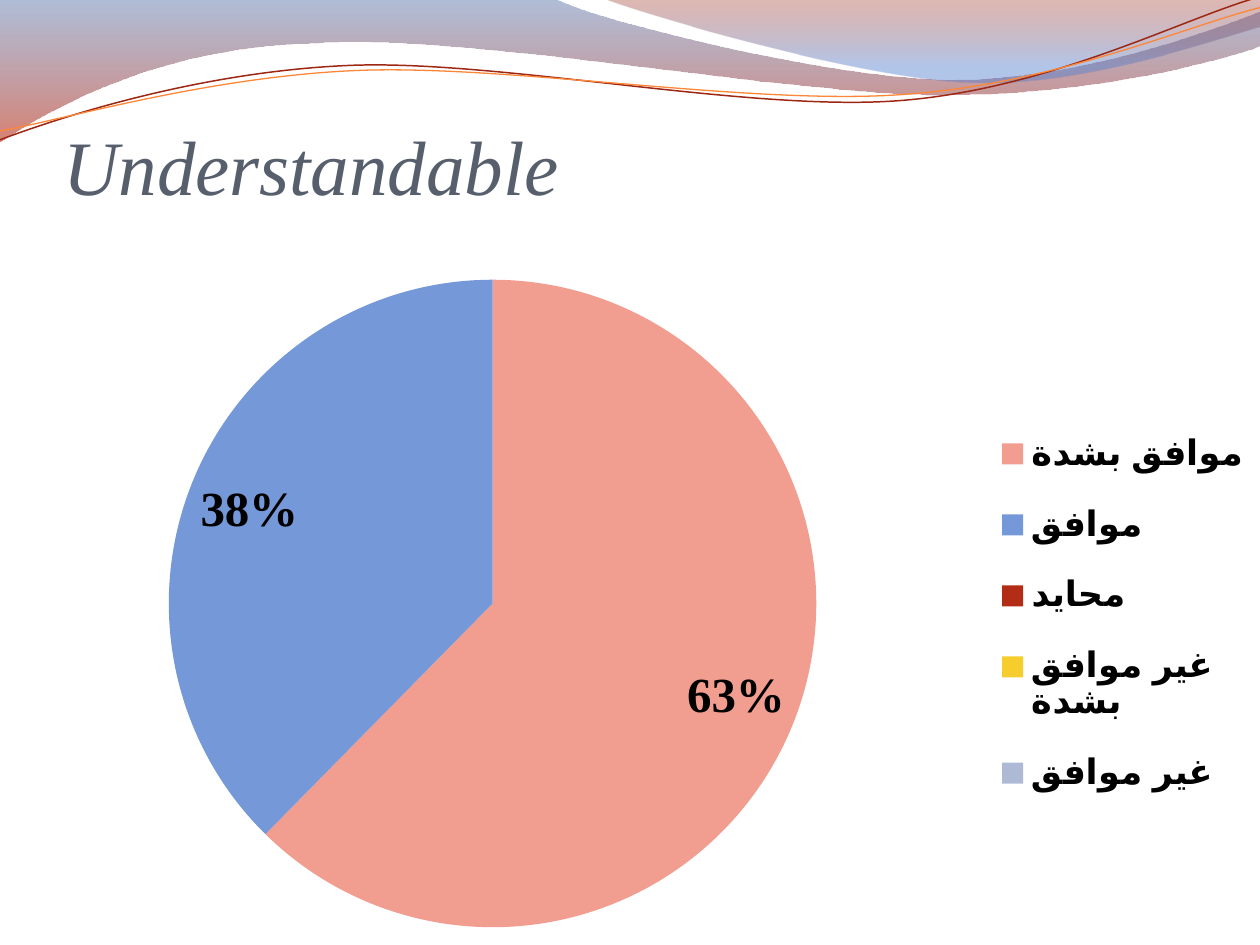
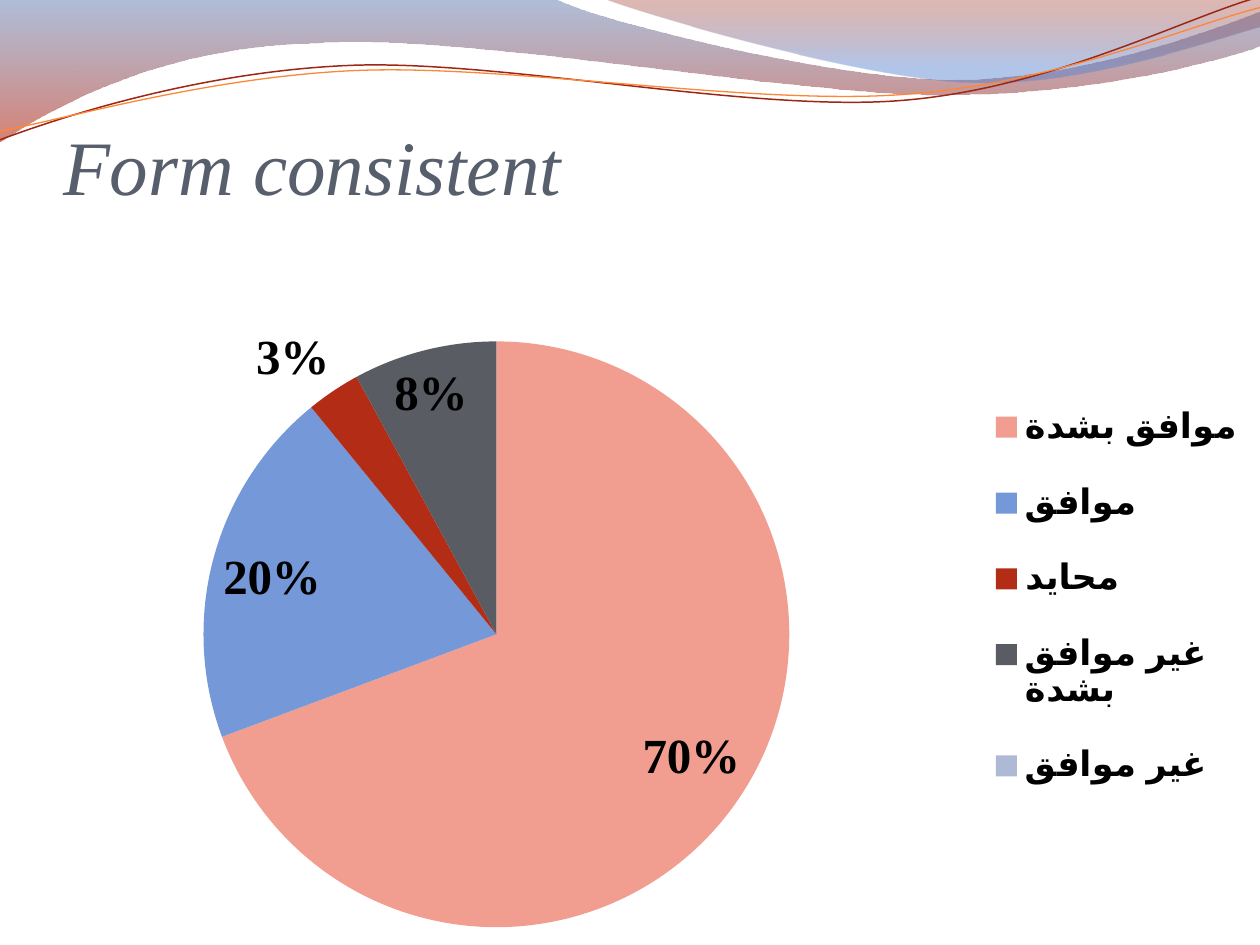
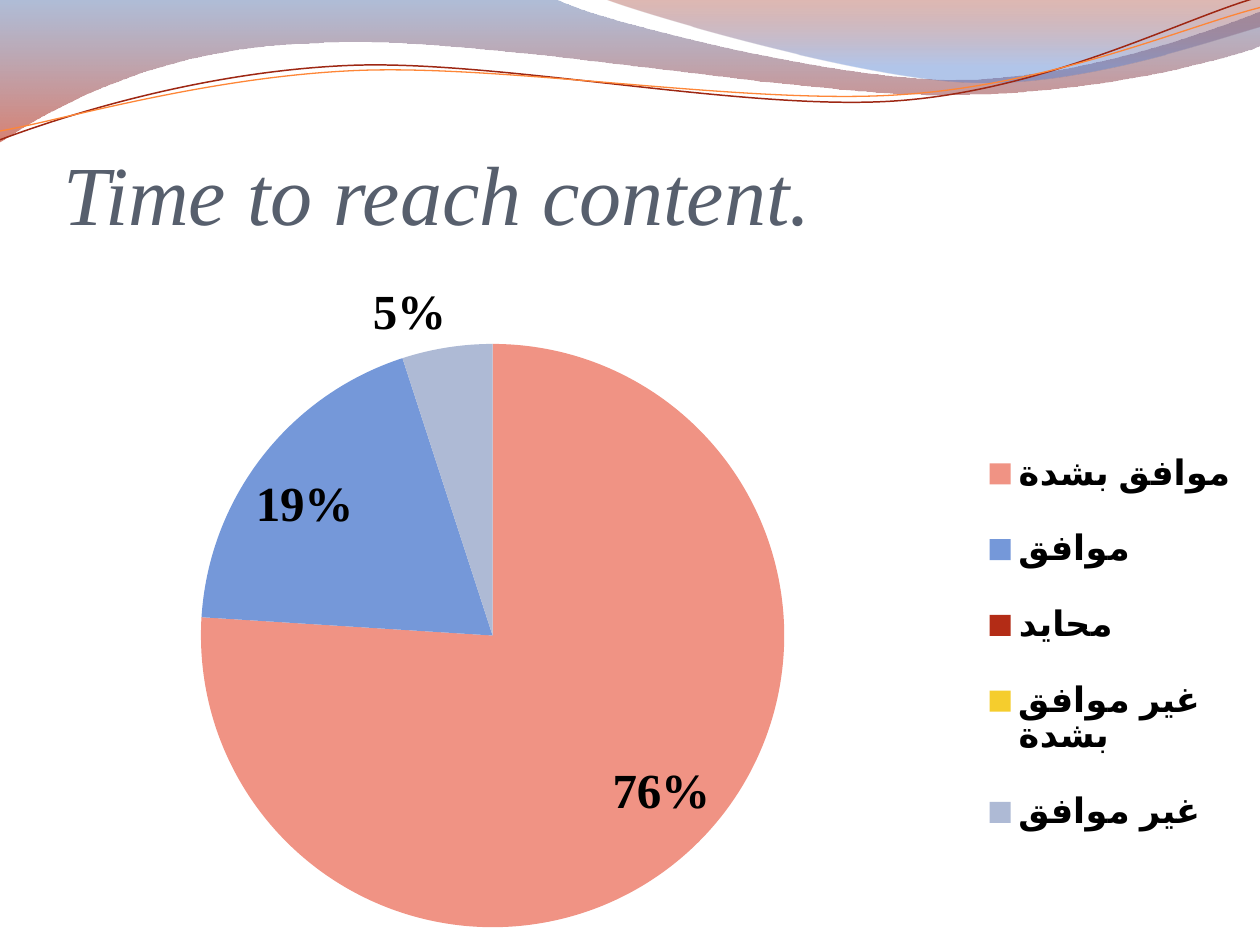
from dataclasses import dataclass

from lxml.etree import SubElement
from pptx import Presentation
from pptx.chart.data import CategoryChartData
from pptx.dml.color import RGBColor
from pptx.enum.chart import XL_CHART_TYPE, XL_LABEL_POSITION, XL_LEGEND_POSITION
from pptx.enum.text import MSO_ANCHOR, MSO_AUTO_SIZE, PP_ALIGN
from pptx.oxml.ns import qn
from pptx.oxml.xmlchemy import OxmlElement
from pptx.util import Inches, Pt


@dataclass(frozen=True)
class Theme:
    """Colours, fonts and type sizes of the deck."""

    title_color: str = "575F6D"
    text_color: str = "000000"
    salmon: str = "F19E91"
    coral: str = "F09384"
    blue: str = "7598D9"
    red: str = "B32C16"
    yellow: str = "F5CD2D"
    slate: str = "595D63"
    lavender: str = "AEBAD5"
    serif: str = "Times New Roman"
    chart_font: str = "Vollkorn"
    title_size: int = 44
    large_title_size: int = 48
    chart_size: int = 18
    legend_size: int = 20
    label_size: int = 28


THEME = Theme()
SLIDE_WIDTH = 10
SLIDE_HEIGHT = 7.5
PIE_BOTTOM = 7.36
ANSWERS = ["موافق بشدة", "موافق", "محايد", "غير موافق بشدة", "غير موافق"]

BANDS = [
    {
        "start": (0, 0),
        "segments": [
            [(4.4, -0.01)],
            [(4.76, 0.17), (6.64, 0.63), (7.58, 0.63)],
            [(8.53, 0.63), (9.58, 0.26), (10, 0.09)],
            [(10.01, 0.36)],
            [(9.83, 0.44), (8.7, 0.76), (7.46, 0.75)],
            [(6.22, 0.75), (3.82, 0.28), (2.57, 0.34)],
            [(1.29, 0.36), (0.46, 0.83), (-0.01, 1.13)],
        ],
        "stops": [(0, "4F6EA8", 45), (1, "B61A00", 55)],
    },
    {
        "start": (4.79, -0.01),
        "segments": [
            [(5.09, 0.11), (6.82, 0.62), (7.69, 0.65)],
            [(8.56, 0.69), (9.61, 0.32), (10, 0.21)],
            [(10, 0)],
        ],
        "stops": [(0, "951500", 30), (0.8, "5681D1", 45)],
    },
]

WAVES = [
    {
        "start": (0, 1.11),
        "segments": [
            [(0.48, 0.93), (1.58, 0.57), (2.77, 0.52)],
            [(3.95, 0.47), (5.93, 0.89), (7.13, 0.8)],
            [(8.33, 0.71), (9.38, 0.15), (9.98, -0.02)],
        ],
        "line": ("9E2713", 0.85),
    },
    {
        "start": (0, 1.04),
        "segments": [
            [(0.47, 0.96), (1.64, 0.61), (2.83, 0.56)],
            [(4.03, 0.51), (5.97, 0.84), (7.17, 0.75)],
            [(8.36, 0.67), (9.41, 0.21), (10, 0.06)],
        ],
        "line": ("FE8637", 0.75),
    },
]


def apply_format(target, values):
    """Set each named attribute of the target."""
    for name, value in values.items():
        setattr(target, name, value)


def format_font(font, color=None, **values):
    """Set font attributes and an optional colour."""
    apply_format(font, values)
    if color:
        font.color.rgb = RGBColor.from_string(color)


def bend_lines(outline, segments):
    """Turn the straight steps that have control points into curves."""
    lines = list(outline.element.iter(qn("a:lnTo")))
    for line, segment in zip(lines, segments):
        if len(segment) == 3:
            curve = OxmlElement("a:cubicBezTo")
            for x, y in segment:
                SubElement(curve, qn("a:pt"), x=str(Inches(x) - outline.left),
                           y=str(Inches(y) - outline.top))
            line.getparent().replace(line, curve)


def add_outline(slide, start, segments, closed):
    """Draw an outline of straight and curved segments."""
    corners = [(Inches(x), Inches(y)) for x, y in
               [start, *(segment[-1] for segment in segments)]]
    builder = slide.shapes.build_freeform(*corners[0], scale=1.0)
    builder.add_line_segments(corners[1:], close=closed)
    outline = builder.convert_to_shape()
    outline.shadow.inherit = False
    bend_lines(outline, segments)
    return outline


def add_band(slide, start, segments, stops):
    """Draw a band with a translucent vertical gradient."""
    band = add_outline(slide, start, segments, True)
    band.line.fill.background()
    band.fill.gradient()
    band.fill.gradient_angle = 270
    for stop, (position, color, _) in zip(band.fill.gradient_stops, stops):
        stop.position = position
        stop.color.rgb = RGBColor.from_string(color)
    gradient = next(band.element.iter(qn("a:gradFill")))
    for color, (_, _, opacity) in zip(gradient.iter(qn("a:srgbClr")), stops):
        SubElement(color, qn("a:alpha"), val=str(opacity * 1000))
    return band


def add_wave(slide, start, segments, line):
    """Draw a thin open wave."""
    color, width = line
    wave = add_outline(slide, start, segments, False)
    wave.fill.background()
    wave.line.color.rgb = RGBColor.from_string(color)
    wave.line.width = Pt(width)
    return wave


def decorate_master(deck, slide):
    """Draw the header on a slide and move it behind the master's text."""
    shapes = [add_band(slide, **band) for band in BANDS]
    shapes += [add_wave(slide, **wave) for wave in WAVES]
    tree = deck.slide_master.element.cSld.spTree
    for order, shape in enumerate(shapes):
        shape.element.nvSpPr.cNvPr.set("id", str(100 + order))
        tree.insert(2 + order, shape.element)


def set_title(slide, text, size, height):
    """Fill and format the title placeholder."""
    title = slide.shapes.title
    apply_format(title, {
        "left": Inches(0.5), "top": Inches(0.77),
        "width": Inches(9), "height": Inches(height),
    })
    frame = title.text_frame
    apply_format(frame, {
        "text": text, "word_wrap": True, "auto_size": MSO_AUTO_SIZE.NONE,
        "vertical_anchor": MSO_ANCHOR.BOTTOM, "margin_left": 0,
        "margin_top": Inches(0.05), "margin_right": 0, "margin_bottom": 0,
    })
    paragraph = frame.paragraphs[0]
    paragraph.alignment = PP_ALIGN.LEFT
    format_font(paragraph.runs[0].font, THEME.title_color,
                name=THEME.serif, size=Pt(size), italic=True)


def make_layout(chart_top, box, inner=False):
    """Return a manual chart layout for a box given in slide inches."""
    left, top, width, height = box
    chart_height = SLIDE_HEIGHT - chart_top
    values = {"layoutTarget": "inner"} if inner else {}
    values |= {
        "xMode": "edge", "yMode": "edge",
        "x": left / SLIDE_WIDTH, "y": (top - chart_top) / chart_height,
        "w": width / SLIDE_WIDTH, "h": height / chart_height,
    }
    layout = OxmlElement("c:layout")
    manual = SubElement(layout, qn("c:manualLayout"))
    for name, value in values.items():
        SubElement(manual, qn(f"c:{name}"), val=str(value))
    return layout


def place_parts(chart, chart_top, pie, legend_box):
    """Place the pie and the legend inside the chart."""
    center, diameter = pie
    pie_box = (center - diameter / 2, PIE_BOTTOM - diameter, diameter, diameter)
    area = next(chart.element.iter(qn("c:plotArea")))
    for layout in area.findall(qn("c:layout")):
        area.remove(layout)
    area.insert(0, make_layout(chart_top, pie_box, inner=True))
    legend = next(chart.element.iter(qn("c:legend")))
    for layout in legend.findall(qn("c:layout")):
        legend.remove(layout)
    legend.find(qn("c:legendPos")).addnext(make_layout(chart_top, legend_box))


def add_answer_pie(slide, top, values, colors, legend_font, pie, legend_box):
    """Add the pie of answers with its legend and percentages."""
    data = CategoryChartData()
    data.categories = ANSWERS
    data.add_series("Series 1", values)
    chart = slide.shapes.add_chart(
        XL_CHART_TYPE.PIE, 0, Inches(top), Inches(SLIDE_WIDTH),
        Inches(SLIDE_HEIGHT - top), data
    ).chart
    apply_format(chart, {"has_title": False, "has_legend": True})
    format_font(chart.font, THEME.text_color,
                name=THEME.chart_font, size=Pt(THEME.chart_size))
    apply_format(chart.legend, {
        "position": XL_LEGEND_POSITION.RIGHT, "include_in_layout": False,
    })
    format_font(chart.legend.font, name=legend_font,
                size=Pt(THEME.legend_size), bold=True)

    plot = chart.plots[0]
    apply_format(plot, {"vary_by_categories": True, "has_data_labels": True})
    apply_format(plot.data_labels, {
        "show_value": True, "show_percentage": False,
        "number_format": '0"%";;;', "number_format_is_linked": False,
        "position": XL_LABEL_POSITION.BEST_FIT,
    })
    format_font(plot.data_labels.font, THEME.text_color, name=THEME.serif,
                size=Pt(THEME.label_size), bold=True)
    for index, color in enumerate(colors):
        fill = plot.series[0].points[index].format.fill
        fill.solid()
        fill.fore_color.rgb = RGBColor.from_string(color)
    place_parts(chart, top, pie, legend_box)


def add_result_slide(deck, title, values, top, pie, legend_box,
                     first=THEME.salmon, fourth=THEME.yellow,
                     title_size=THEME.title_size, title_height=0.9,
                     legend_font=THEME.serif):
    """Add one slide with a title and a pie of answers."""
    slide = deck.slides.add_slide(deck.slide_layouts.get_by_name("Title Only"))
    set_title(slide, title, title_size, title_height)
    colors = [first, THEME.blue, THEME.red, fourth, THEME.lavender]
    add_answer_pie(slide, top, values, colors, legend_font, pie, legend_box)
    return slide


def main():
    """Build and save the deck."""
    deck = Presentation()
    apply_format(deck, {
        "slide_width": Inches(SLIDE_WIDTH), "slide_height": Inches(SLIDE_HEIGHT),
    })
    opening = add_result_slide(
        deck, "Understandable", [63, 38, 0, 0, 0], 2.08,
        pie=(3.91, 5.14), legend_box=(7.84, 3.18, 2.14, 3.38))
    decorate_master(deck, opening)
    add_result_slide(
        deck, "Form consistent", [70, 20, 3, 8, 0], 2.12,
        pie=(3.94, 4.65), legend_box=(7.79, 2.93, 2.14, 3.61),
        fourth=THEME.slate)
    add_result_slide(
        deck, "Time to reach content.", [76, 19, 0, 0, 5], 2.12,
        pie=(3.91, 4.63), legend_box=(7.74, 3.3, 2.14, 3.61),
        first=THEME.coral, title_size=THEME.large_title_size,
        title_height=1.15, legend_font=THEME.chart_font)
    deck.save("out.pptx")


if __name__ == "__main__":
    main()
